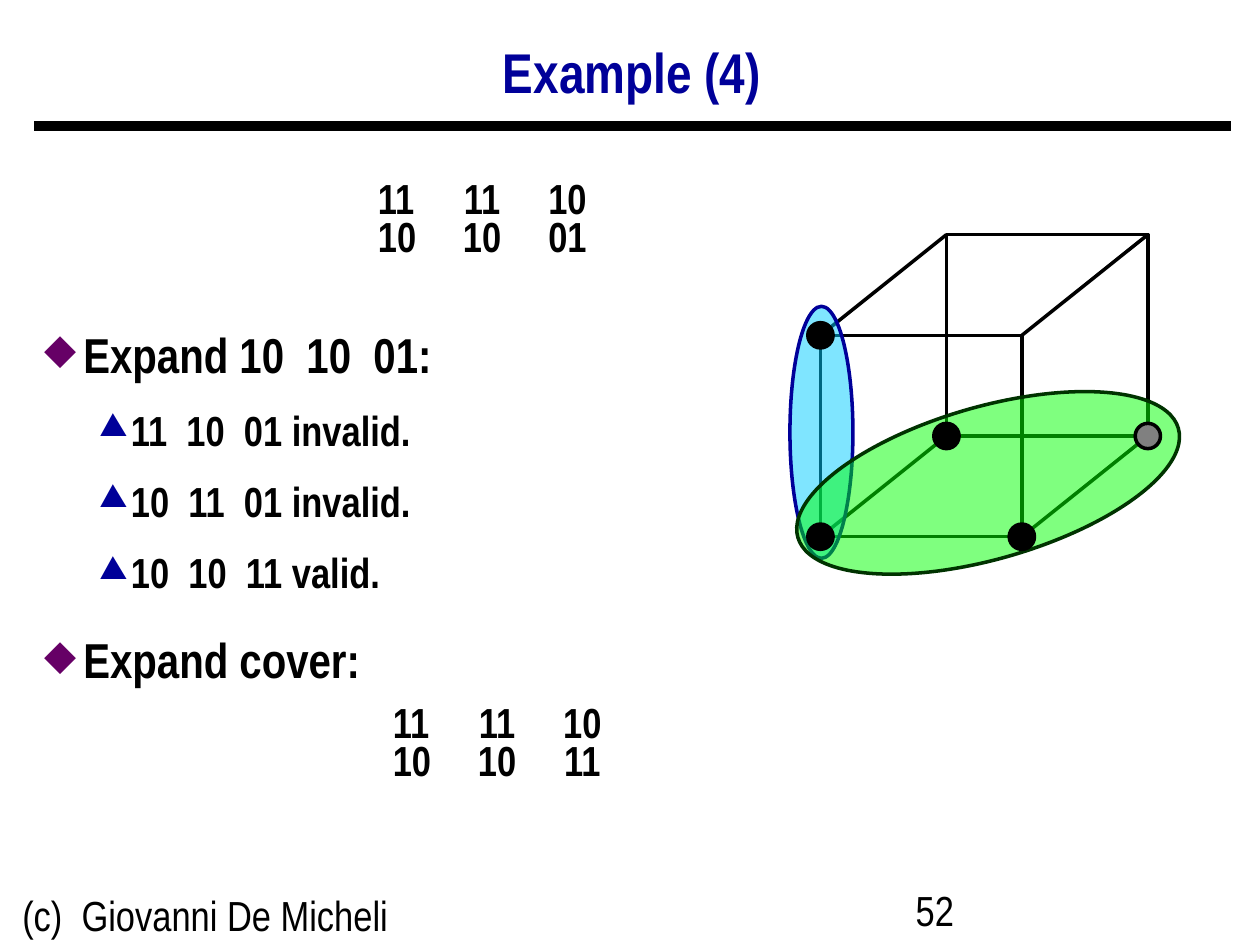
from typing import NamedTuple, Optional

from lxml import etree
from pptx import Presentation
from pptx import util as u
from pptx.dml.color import RGBColor
from pptx.enum import shapes, text
from pptx.oxml.ns import qn

FONT = "Arial Narrow"
BLACK, NAVY, PURPLE, GREY = "000000", "000099", "660066", "808080"


class Level(NamedTuple):
    bullet: str
    bullet_color: str
    bullet_percent: int
    margin: float
    hanging: float
    line_spacing: float
    before: float
    size: int


class Implicant(NamedTuple):
    left: float
    top: float
    width: float
    height: float
    rotation: float
    fill: str
    line: str


class Minterm(NamedTuple):
    x: float
    y: float
    fill: str


def rgb(value: str) -> RGBColor:
    return RGBColor.from_string(value)


def sub(parent, tag: str, **attributes: str):
    return etree.SubElement(parent, qn(tag), attributes)


def add_run(paragraph, wording: str, size: float, bold=False, color=BLACK) -> None:
    run = paragraph.add_run()
    run.text = wording
    run.font.name, run.font.size, run.font.bold = FONT, u.Pt(size), bold
    run.font.color.rgb = rgb(color)


def add_box(left: float, top: float, width: float, height: float):
    frame = slide.shapes.add_textbox(
        u.Cm(left), u.Cm(top), u.Cm(width), u.Cm(height)).text_frame
    frame.word_wrap = True
    return frame


def add_line(start: tuple, end: tuple, width: float) -> None:
    line = slide.shapes.add_connector(
        shapes.MSO_CONNECTOR.STRAIGHT, *(u.Cm(v) for v in (*start, *end)))
    line.line.color.rgb = rgb(BLACK)
    line.line.width = u.Pt(width)
    sub(line._element.spPr, "a:effectLst")


def add_outline(kind, left: float, top: float, width: float, height: float,
                fill: Optional[str], line: str = BLACK):
    shape = slide.shapes.add_shape(
        kind, u.Cm(left), u.Cm(top), u.Cm(width), u.Cm(height))
    shape.shadow.inherit = False
    if fill:
        shape.fill.solid()
        shape.fill.fore_color.rgb = rgb(fill)
    else:
        shape.fill.background()
    shape.line.color.rgb = rgb(line)
    shape.line.width = u.Pt(2)
    return shape


def add_implicant(item: Implicant) -> None:
    oval = add_outline(shapes.MSO_SHAPE.OVAL, item.left, item.top,
                       item.width, item.height, item.fill, item.line)
    oval.rotation = item.rotation
    color = oval._element.spPr.find(qn("a:solidFill")).find(qn("a:srgbClr"))
    sub(color, "a:alpha", val="50000")


def add_minterm(item: Minterm) -> None:
    size = 0.51
    add_outline(shapes.MSO_SHAPE.OVAL, item.x - size / 2, item.y - size / 2,
                size, size, item.fill)


def add_cover(left: float, top: float, rows: list) -> None:
    for index, row in enumerate(rows):
        paragraph = add_box(left, top + index * 0.76, 4.75, 1.27).paragraphs[0]
        tabs = sub(paragraph._p.get_or_add_pPr(), "a:tabLst")
        for stop in (2.1, 3.82):
            sub(tabs, "a:tab", pos=str(u.Cm(stop)), algn="ctr")
        add_run(paragraph, "\t".join(row), 24, bold=True)


def add_bullet(paragraph, level: Level, wording: str, first: bool) -> None:
    properties = paragraph._p.get_or_add_pPr()
    properties.set("marL", str(u.Cm(level.margin)))
    properties.set("indent", str(-u.Cm(level.hanging)))
    sub(sub(properties, "a:buClr"), "a:srgbClr", val=level.bullet_color)
    sub(properties, "a:buSzPct", val=str(level.bullet_percent * 1000))
    sub(properties, "a:buChar", char=level.bullet)
    paragraph.line_spacing = level.line_spacing
    if not first:
        paragraph.space_before = u.Pt(level.before)
    add_run(paragraph, wording, level.size, bold=True)


presentation = Presentation()
presentation.slide_width, presentation.slide_height = u.Cm(25.4), u.Cm(19.05)
slide = presentation.slides.add_slide(presentation.slide_layouts[5])

# Title and rule
title = slide.shapes.title
title.left, title.top, title.width, title.height = (
    u.Cm(v) for v in (0.66, 0.56, 24.16, 1.9))
title.text_frame.vertical_anchor = text.MSO_ANCHOR.MIDDLE
heading = title.text_frame.paragraphs[0]
heading.alignment = text.PP_ALIGN.CENTER
heading.line_spacing = 0.9
add_run(heading, "Example (4)", 32, bold=True, color=NAVY)
add_line((0.69, 2.54), (24.82, 2.54), 6)

# Expansion steps
step = Level("◆", PURPLE, 85, 0.79, 0.79, 1.25, 10.5, 28)
trial = Level("▲", NAVY, 75, 1.75, 0.64, 1.1, 9, 24)
steps = [
    (step, "Expand 10  10  01:"),
    (trial, "11  10  01 invalid."),
    (trial, "10  11  01 invalid."),
    (trial, "10  10  11 valid."),
    (step, "Expand cover:"),
]
body = add_box(0.64, 6.12, 14, 8)
for number, (level, wording) in enumerate(steps):
    entry = body.add_paragraph() if number else body.paragraphs[0]
    add_bullet(entry, level, wording, first=number == 0)

# Covers before and after expansion
add_cover(7.37, 3.35, [("11", "11", "10"), ("10", "10", "01")])
add_cover(7.67, 13.92, [("11", "11", "10"), ("10", "10", "11")])

# Cube: front and back faces joined at their corners
side, shift_x, shift_y = 4.06, 2.54, -2.03
x0, y0 = 16.54, 6.76
x1, y1 = x0 + side, y0 + side
for dx, dy in ((0, 0), (shift_x, shift_y)):
    add_outline(shapes.MSO_SHAPE.RECTANGLE, x0 + dx, y0 + dy, side, side, None)
for x in (x0, x1):
    for y in (y0, y1):
        add_line((x, y), (x + shift_x, y + shift_y), 2)

# Implicants and the minterms they cover
add_implicant(Implicant(14.02, 8.08, 5.08, 1.27, 270, "00CCFF", NAVY))
add_minterm(Minterm(x0, y0, BLACK))
add_implicant(Implicant(15.93, 8.2, 7.98, 3.07, 344, "00FF00", "003300"))
for minterm in (
    Minterm(x0, y1, BLACK),
    Minterm(x0 + shift_x, y1 + shift_y, BLACK),
    Minterm(x1, y1, BLACK),
    Minterm(x1 + shift_x, y1 + shift_y, GREY),
):
    add_minterm(minterm)

# Footer
add_run(add_box(0.2, 17.81, 8.03, 1.32).paragraphs[0], "(c)  Giovanni De Micheli", 24)
add_run(add_box(18.21, 17.7, 5.92, 1.32).paragraphs[0], "52", 24)

presentation.save("out.pptx")
